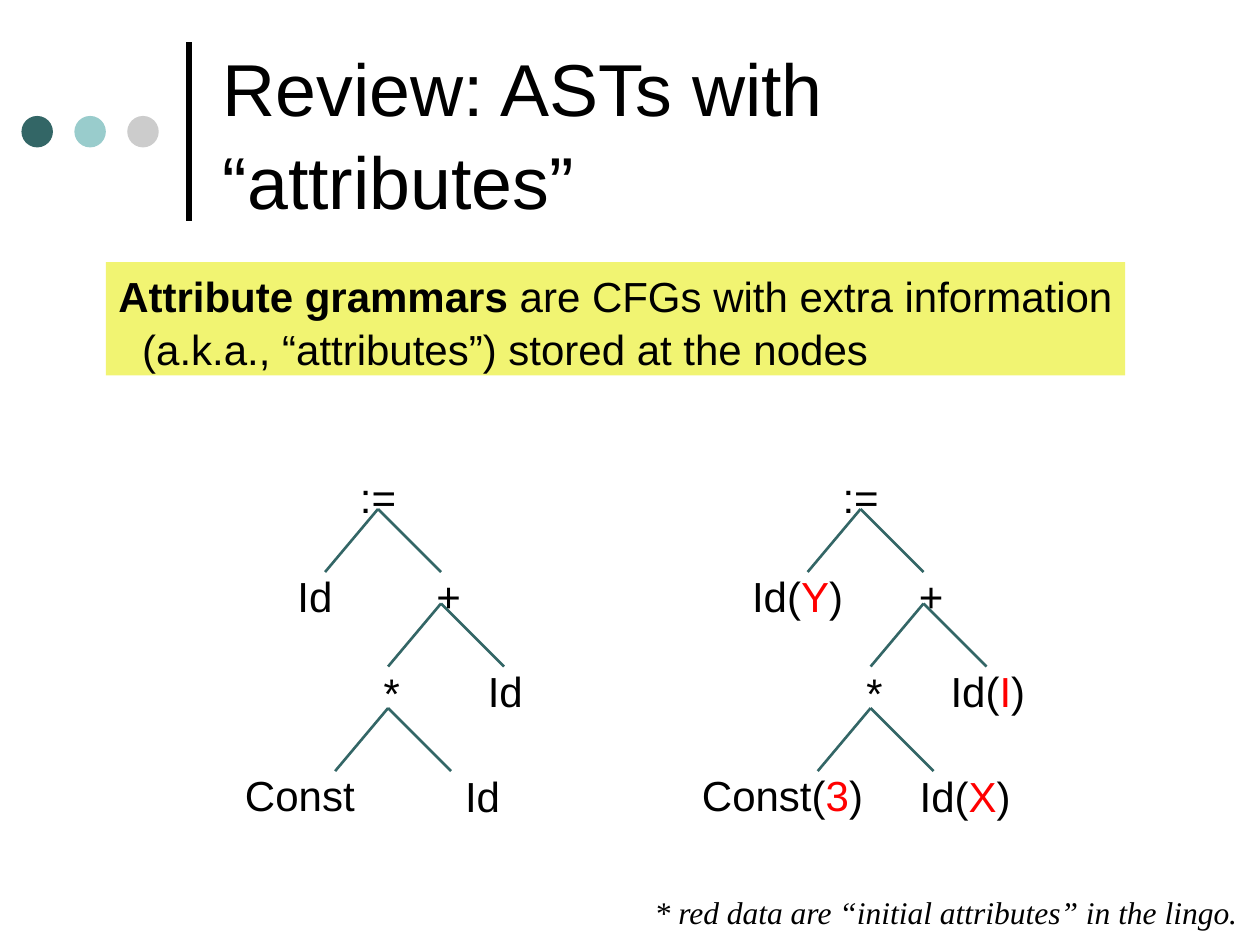
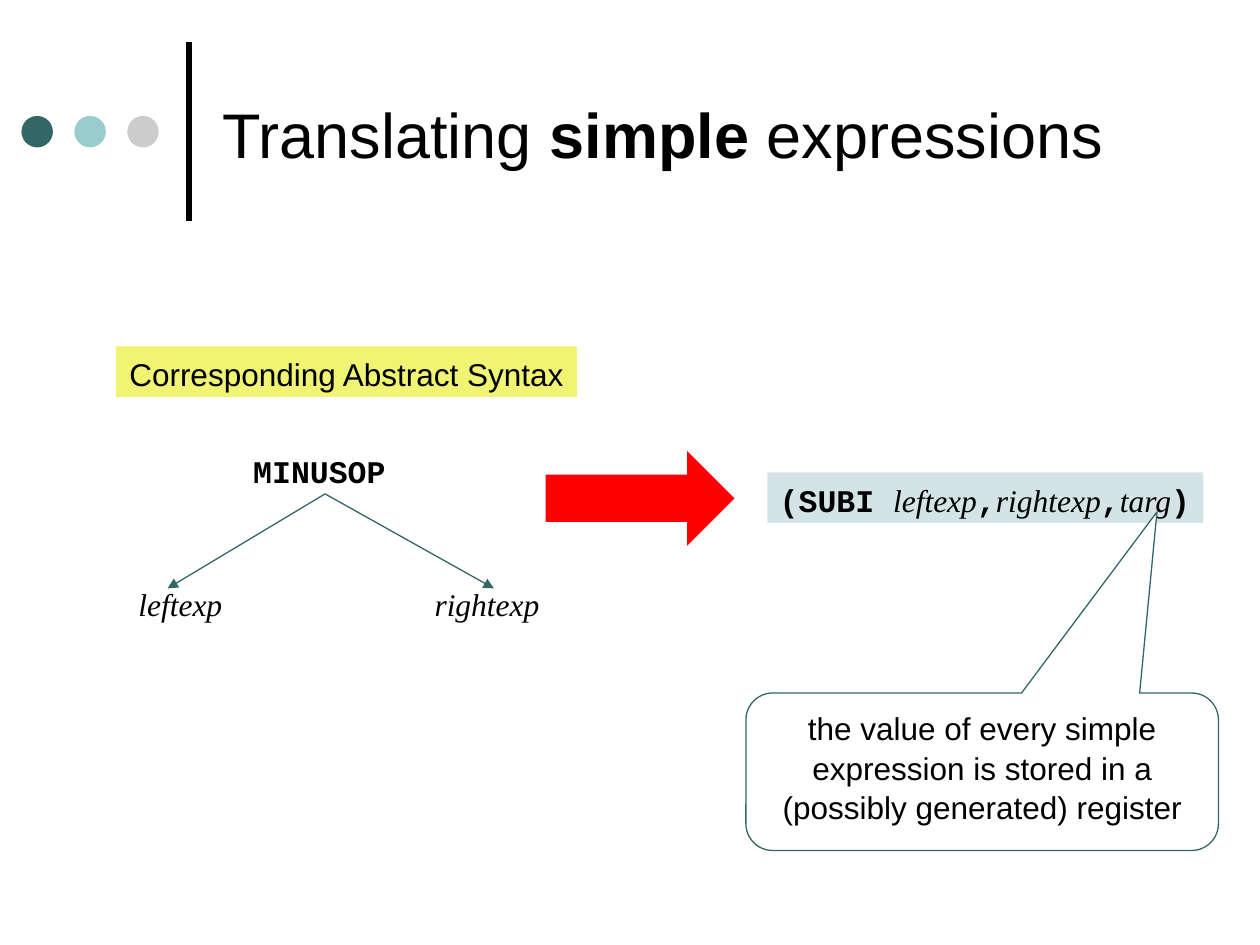
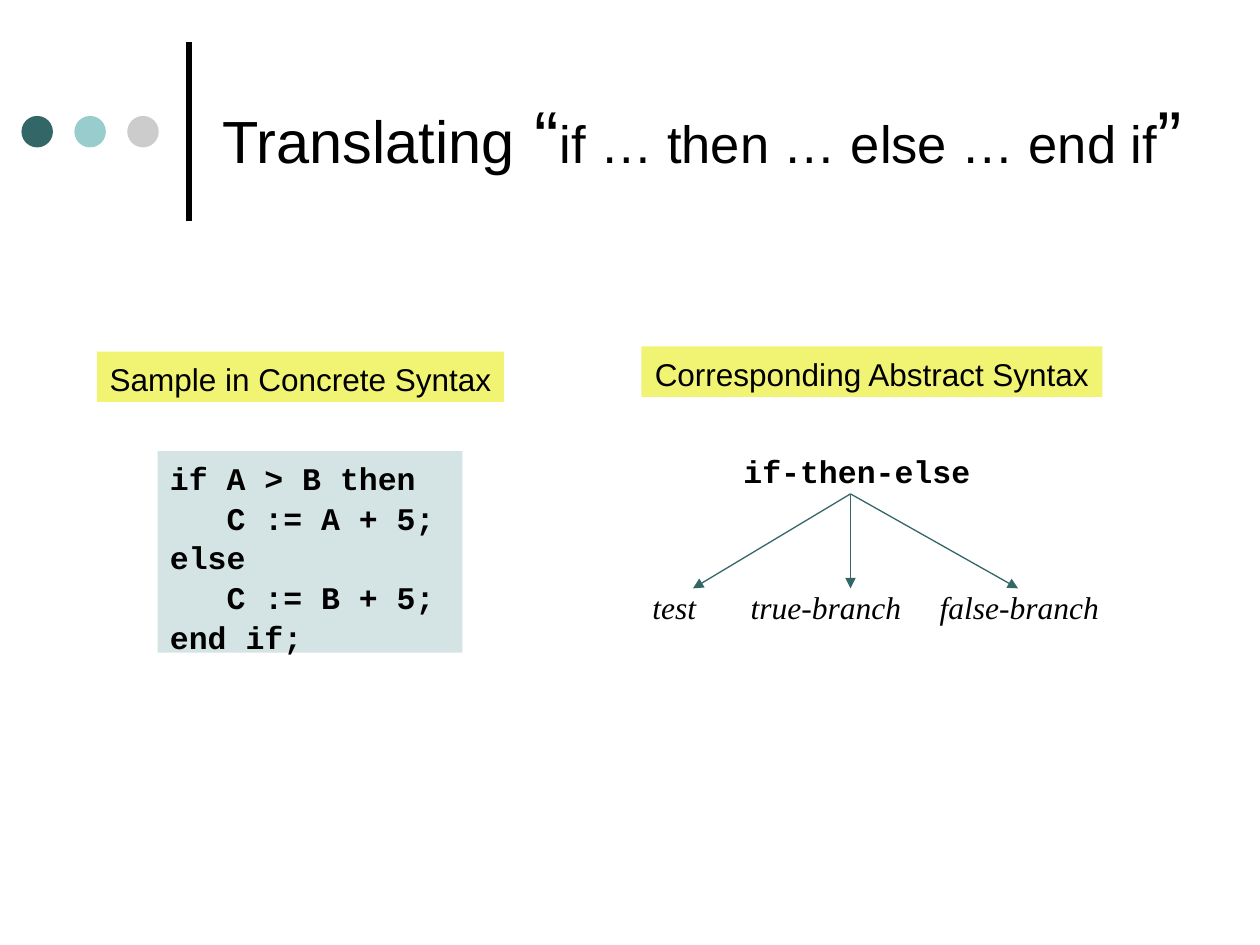
"""Builds three slides on attribute grammars and translating expressions."""
from lxml import etree
from pptx import Presentation
from pptx.dml.color import RGBColor
from pptx.enum.shapes import MSO_CONNECTOR, MSO_SHAPE
from pptx.enum.text import MSO_ANCHOR, MSO_AUTO_SIZE, PP_ALIGN
from pptx.oxml.ns import qn
from pptx.util import Inches, Pt

LEFT, MID = PP_ALIGN.LEFT, PP_ALIGN.CENTER
TOP, CENTER = MSO_ANCHOR.TOP, MSO_ANCHOR.MIDDLE
GROW = MSO_AUTO_SIZE.SHAPE_TO_FIT_TEXT
LINE = MSO_CONNECTOR.STRAIGHT
OVAL, ARROW = MSO_SHAPE.OVAL, MSO_SHAPE.RIGHT_ARROW
BUBBLE = MSO_SHAPE.ROUNDED_RECTANGULAR_CALLOUT

HEX = {"ink": "000000", "teal": "336666", "aqua": "99CCCC", "gray": "CCCCCC",
       "note": "F1F472", "code": "D4E4E4", "red": "FF0000", "white": "FFFFFF"}
RGB = {name: RGBColor.from_string(value) for name, value in HEX.items()}

STYLES = {
    "sans": ("Arial", False, False, "ink"),
    "bold": ("Arial", True, False, "ink"),
    "red": ("Arial", False, False, "red"),
    "star": ("Courier New", False, False, "ink"),
    "code": ("Courier New", True, False, "ink"),
    "term": ("Times New Roman", False, True, "ink"),
}


def write(shape, paras, size, align=LEFT, wrap=False, anchor=TOP, fill=None, tabs=()):
    """Fill a shape with paragraphs of (text, style, optional size) runs."""
    frame = shape.text_frame
    frame.word_wrap = wrap
    frame.vertical_anchor = anchor
    if fill:
        shape.fill.solid()
        shape.fill.fore_color.rgb = RGB[fill]
    for i, runs in enumerate(paras):
        para = frame.paragraphs[0] if i == 0 else frame.add_paragraph()
        if tabs:
            stops = etree.SubElement(para._p.get_or_add_pPr(), qn("a:tabLst"))
            for stop in tabs:
                etree.SubElement(stops, qn("a:tab"), pos=str(Inches(stop)), algn="l")
        para.alignment = align
        para.line_spacing = 1.05
        for text, style, *own in runs:
            run = para.add_run()
            run.text = text
            font = run.font
            font.name, font.bold, font.italic, color = STYLES[style]
            font.color.rgb = RGB[color]
            font.size = Pt(own[0] if own else size)


def link(shapes, start, end, width, color="teal", arrow=False):
    """Draw a straight line between two points."""
    line = shapes.add_connector(LINE, *map(Inches, start + end))
    line.line.width = Pt(width)
    line.line.color.rgb = RGB[color]
    props = line.element.spPr
    if arrow:
        etree.SubElement(props.find(qn("a:ln")), qn("a:tailEnd"), type="triangle")
    etree.SubElement(props, qn("a:effectLst"))


deck = Presentation()
deck.slide_width, deck.slide_height = Inches(10), Inches(7.5)

titles = [
    (7.67, [("Review: ASTs with “attributes”", "sans", 42)]),
    (7.92, [("Translating ", "sans"), ("simple", "bold"), (" expressions", "sans")]),
    (7.92, [("Translating", "sans", 34), (" “", "sans", 42),
            ("if … then … else … end if", "sans", 30), ("”", "sans", 42)]),
]
pages = []
for width, runs in titles:
    shapes = deck.slides.add_slide(deck.slide_layouts[6]).shapes
    link(shapes, (1.5, 1.75), (1.5, 0.33), 3, "ink")
    for i, color in enumerate(("teal", "aqua", "gray")):
        dot = shapes.add_shape(OVAL, Inches(0.17 + 0.42 * i), Inches(0.92),
                               Inches(0.25), Inches(0.25))
        dot.shadow.inherit = False
        dot.fill.solid()
        dot.fill.fore_color.rgb = RGB[color]
        dot.line.fill.background()
    title = shapes.add_textbox(*map(Inches, (1.67, 0.21, width, 1.67)))
    write(title, [runs], 36, wrap=True, anchor=CENTER)
    pages.append(shapes)
review, simple, branch = pages

nodes = [
    (3.0, 3.67, ":=", "sans", "", 0.49, 0.49),
    (2.5, 4.46, "Id", "sans", "Y", 0.48, 0.92),
    (3.56, 4.46, "+", "sans", "", 0.39, 0.39),
    (3.11, 5.24, "*", "star", "", 0.4, 0.4),
    (4.01, 5.21, "Id", "sans", "I", 0.48, 0.79),
    (2.38, 6.04, "Const", "sans", "3", 1.07, 1.48),
    (3.83, 6.05, "Id", "sans", "X", 0.48, 0.92),
]
forks = [(3.0, 4.04), (3.5, 4.79), (3.08, 5.62)]
for shift, rich in ((0, False), (3.83, True)):
    tree = review.add_group_shape().shapes
    for x, y, name, style, value, slim, wide in nodes:
        width = wide if rich else slim
        runs = [(name, style)]
        if rich and value:
            runs = [(name + "(", style), (value, "red"), (")", style)]
        node = tree.add_textbox(*map(Inches, (x + shift - width / 2, y, width, 0.5)))
        write(node, [runs], 24, MID)
    for x, y in forks:
        for step in (-0.42, 0.5):
            link(tree, (x + shift, y), (x + shift + step, y + 0.5), 1.5)

rule = review.add_textbox(*map(Inches, (0.84, 2.08, 8.09, 0.9)))
write(rule, [[("Attribute grammars", "bold"), (" are CFGs with extra information", "sans")],
             [("(a.k.a., “attributes”) stored at the nodes", "sans")]], 24, fill="note")
rule.text_frame.paragraphs[1]._p.get_or_add_pPr().set("marL", str(Inches(0.19)))

foot = review.add_textbox(*map(Inches, (5.09, 7.02, 4.84, 0.4)))
write(foot, [[("* red data are “initial attributes” in the lingo.", "term")]], 18, MID, True)

labels = [
    (simple, 0.92, 2.75, 3.66, "Corresponding Abstract Syntax"),
    (branch, 0.77, 2.79, 3.23, "Sample in Concrete Syntax"),
    (branch, 5.09, 2.75, 3.66, "Corresponding Abstract Syntax"),
]
for shapes, x, y, width, text in labels:
    label = shapes.add_textbox(*map(Inches, (x, y, width, 0.4)))
    write(label, [[(text, "sans")]], 18, MID, fill="note")

trees = [
    (simple, (1.91, 1.25), "MINUSOP", (1, 4.58, 3.38), "leftexp\trightexp",
     (2.35,), 2.58, (1.33, 3.92)),
    (branch, (5.8, 2), "if-then-else", (5.08, 4.6, 3.75), "test\ttrue-branch\tfalse-branch",
     (0.78, 2.28), 6.75, (5.5, 6.75, 8.08)),
]
for shapes, (x, width), name, place, leaves, tabs, root, ends in trees:
    head = shapes.add_textbox(*map(Inches, (x, 3.52, width, 0.4)))
    write(head, [[(name, "code")]], 18, MID)
    row = shapes.add_textbox(*map(Inches, place + (0.4,)))
    write(row, [[(leaves, "term")]], 18, wrap=True, tabs=tabs)
    for end in ends:
        link(shapes, (root, 3.92), (end, 4.67), 0.75, arrow=True)

call = simple.add_textbox(*map(Inches, (6.09, 3.75, 3.46, 0.4)))
write(call, [[("(SUBI ", "code"), ("leftexp", "term"), (",", "code"), ("rightexp", "term"),
              (",", "code"), ("targ", "term"), (")", "code")]], 18, fill="code")

arrow = simple.add_shape(ARROW, *map(Inches, (4.33, 3.58, 1.5, 0.75)))
arrow.shadow.inherit = False
arrow.fill.solid()
arrow.fill.fore_color.rgb = RGB["red"]
arrow.line.fill.background()

bubble = simple.add_shape(BUBBLE, *map(Inches, (5.92, 5.5, 3.75, 1.25)))
bubble.shadow.inherit = False
bubble.adjustments[0] = 0.37
bubble.adjustments[1] = -1.65
bubble.adjustments[2] = 0.17
bubble.line.color.rgb = RGB["teal"]
bubble.line.width = Pt(0.75)
write(bubble, [[("the value of every simple expression is stored in a "
                 "(possibly generated) register", "sans")]], 18, MID, True, fill="white")

code = ["if A > B then", "   C := A + 5;", "else", "   C := B + 5;", "end if;"]
block = branch.add_textbox(*map(Inches, (1.25, 3.58, 2.42, 1.6)))
write(block, [[(row, "code")] for row in code], 18, wrap=True, fill="code")
block.text_frame.auto_size = GROW

deck.save("out.pptx")
